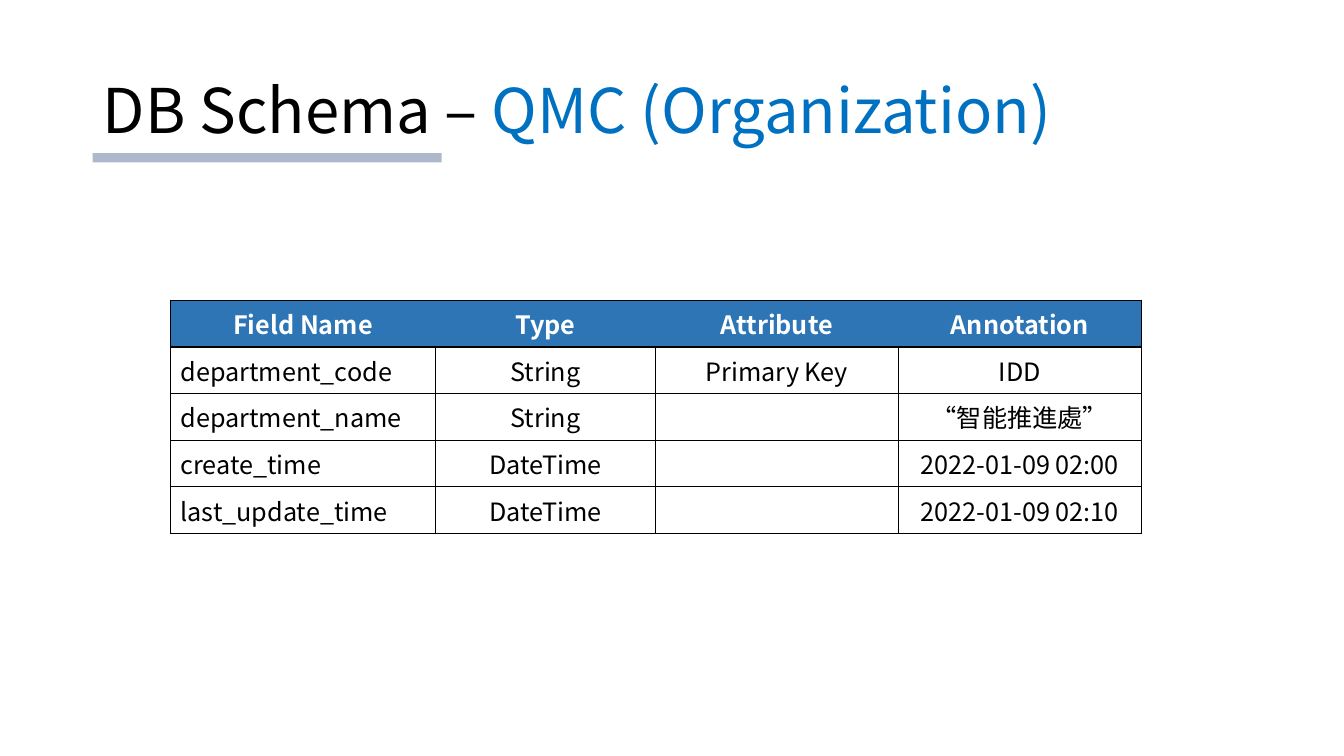
from pptx import Presentation
from pptx.dml.color import RGBColor
from pptx.enum.shapes import MSO_SHAPE
from pptx.enum.text import MSO_ANCHOR, PP_ALIGN
from pptx.oxml.ns import qn
from pptx.util import Inches, Pt
from lxml import etree

RECT = MSO_SHAPE.RECTANGLE
MIDDLE = MSO_ANCHOR.MIDDLE
LEFT, CENTER = PP_ALIGN.LEFT, PP_ALIGN.CENTER

FONT = "Noto Sans CJK SC"
COLORS = {"text": "000000", "accent": "0070C0", "header": "2E75B6",
          "header_text": "FFFFFF", "underline": "ADB9CA", "border": "000000"}

TITLE = [("DB Schema – ", "text"), ("QMC (Organization)", "accent")]
FIELDS = [
    ("Field Name", "Type", "Attribute", "Annotation"),
    ("department_code", "String", "Primary Key", "IDD"),
    ("department_name", "String", "", "“智能推進處”"),
    ("create_time", "DateTime", "", "2022-01-09 02:00"),
    ("last_update_time", "DateTime", "", "2022-01-09 02:10"),
]
COL_WIDTHS = [2.63, 2.18, 2.41, 2.41]
ROW_HEIGHT = 0.41
TABLE_LEFT, TABLE_TOP = 1.69, 2.98
THIN, THICK = 0.5, 1


def rgb(name):
    return RGBColor.from_string(COLORS[name])


def add_run(p, text, size, color, bold=False):
    r = p.add_run()
    r.text = text
    r.font.name = FONT
    r.font.size = Pt(size)
    r.font.bold = bold
    r.font.color.rgb = rgb(color)
    # East Asian glyphs take their font from a separate element
    ea = etree.SubElement(r._r.get_or_add_rPr(), qn("a:ea"))
    ea.set("typeface", FONT)


def set_borders(cell, widths):
    """Set left, right, top and bottom lines in points; None hides a line."""
    tcPr = cell._tc.get_or_add_tcPr()
    for i, (side, width) in enumerate(zip("LRTB", widths)):
        ln = etree.Element(qn(f"a:ln{side}"))
        if width is None:
            etree.SubElement(ln, qn("a:noFill"))
        else:
            ln.set("w", str(Pt(width)))
            fill = etree.SubElement(ln, qn("a:solidFill"))
            etree.SubElement(fill, qn("a:srgbClr")).set("val", COLORS["border"])
        tcPr.insert(i, ln)


def border_widths(row, col):
    last_row, last_col = len(FIELDS) - 1, len(COL_WIDTHS) - 1
    if row == 0:
        return (THIN if col == 0 else None,
                THIN if col == last_col else None, THIN, THICK)
    string_cell = FIELDS[row][col] == "String"
    top = THICK if row == 1 or string_cell else THIN
    bottom = THICK if string_cell and row < last_row else THIN
    return THICK, THICK, top, bottom


def add_title(slide):
    title = slide.shapes.title
    title.left, title.top = Inches(0.92), Inches(0.4)
    title.width, title.height = Inches(11.5), Inches(1.45)
    tf = title.text_frame
    tf.word_wrap = True
    tf.vertical_anchor = MIDDLE
    p = tf.paragraphs[0]
    p.alignment = LEFT
    p.line_spacing = 0.9
    for text, color in TITLE:
        add_run(p, text, 44, color)


def add_underline(slide):
    s = slide.shapes.add_shape(RECT, Inches(0.92), Inches(1.52),
                               Inches(3.46), Inches(0.09))
    s.shadow.inherit = False
    s.fill.solid()
    s.fill.fore_color.rgb = rgb("underline")
    s.line.fill.background()


def add_schema_table(slide):
    table = slide.shapes.add_table(
        len(FIELDS), len(COL_WIDTHS), Inches(TABLE_LEFT), Inches(TABLE_TOP),
        Inches(sum(COL_WIDTHS)), Inches(ROW_HEIGHT * len(FIELDS))).table
    table.horz_banding = False
    for column, width in zip(table.columns, COL_WIDTHS):
        column.width = Inches(width)
    for i, values in enumerate(FIELDS):
        table.rows[i].height = Inches(ROW_HEIGHT)
        header = i == 0
        for j, text in enumerate(values):
            cell = table.cell(i, j)
            if header:
                cell.fill.solid()
                cell.fill.fore_color.rgb = rgb("header")
            else:
                cell.fill.background()
            set_borders(cell, border_widths(i, j))
            p = cell.text_frame.paragraphs[0]
            p.alignment = CENTER if header or j > 0 else LEFT
            if text:
                add_run(p, text, 18, "header_text" if header else "text", header)


def main():
    prs = Presentation()
    prs.slide_width, prs.slide_height = Inches(13.33), Inches(7.5)
    slide = prs.slides.add_slide(prs.slide_layouts.get_by_name("Title Only"))
    add_title(slide)
    add_schema_table(slide)
    add_underline(slide)
    prs.save("out.pptx")


if __name__ == "__main__":
    main()
